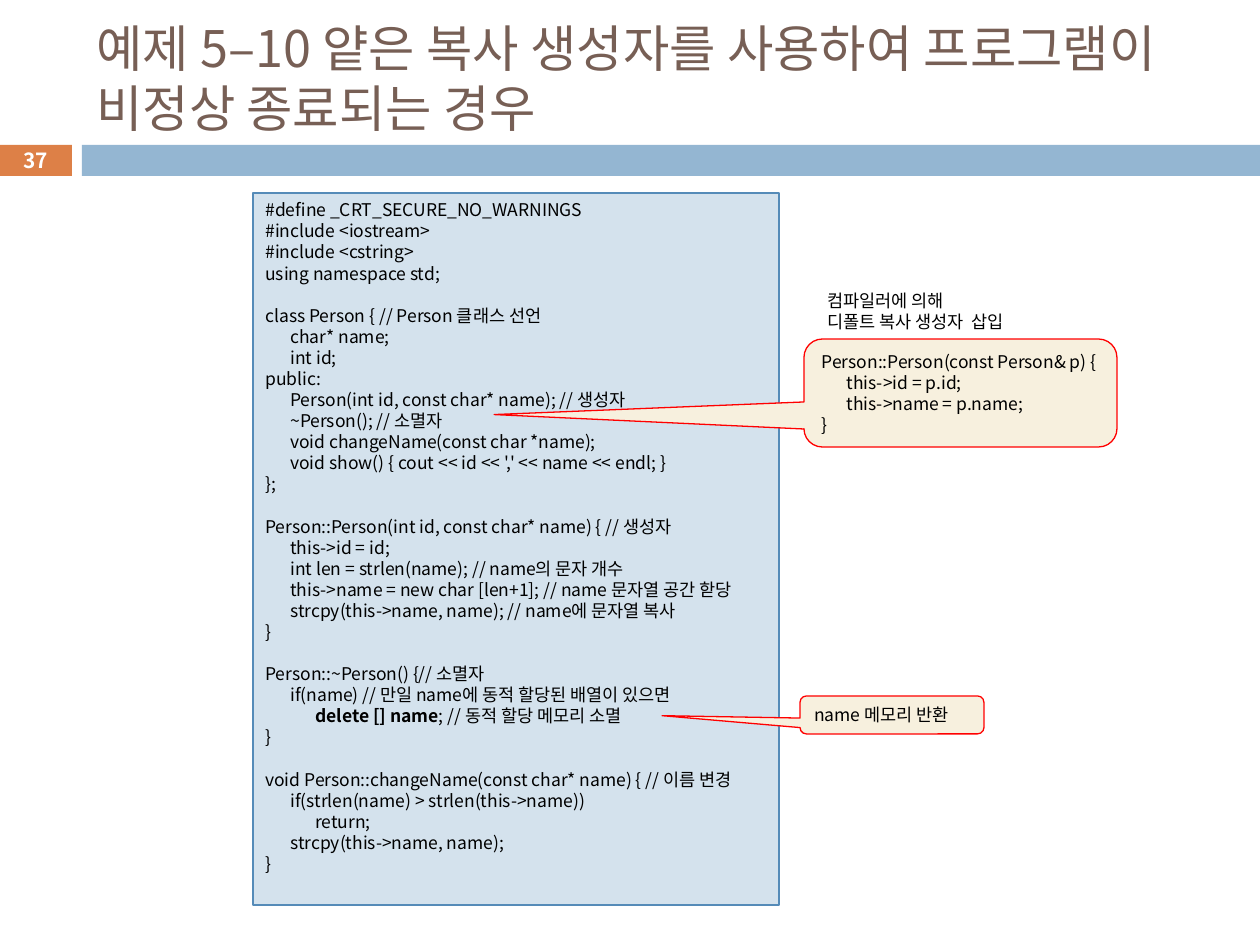
"""Build the slide on a shallow copy constructor that crashes a program."""
from lxml.etree import SubElement
from pptx import Presentation
from pptx.dml.color import RGBColor
from pptx.enum.shapes import MSO_SHAPE
from pptx.enum.text import MSO_ANCHOR, PP_ALIGN
from pptx.oxml.ns import qn
from pptx.util import Emu, Pt

TITLE = "예제 5–10 얕은 복사 생성자를 사용하여 프로그램이 비정상 종료되는 경우"
PAGE_NUMBER = "37"
EMPHASIS = "delete [] name"
CODE = [
    ["#define _CRT_SECURE_NO_WARNINGS",
     "#include <iostream>",
     "#include <cstring>",
     "using namespace std;"],
    ["class Person { // Person 클래스 선언",
     "\tchar* name;",
     "\tint id;",
     "public:",
     "\tPerson(int id, const char* name); // 생성자",
     "\t~Person(); // 소멸자",
     "\tvoid changeName(const char *name);",
     "\tvoid show() { cout << id << ',' << name << endl; }",
     "};"],
    ["Person::Person(int id, const char* name) { // 생성자",
     "\tthis->id = id;",
     "\tint len = strlen(name); // name의 문자 개수",
     "\tthis->name = new char [len+1]; // name 문자열 공간 핟당",
     "\tstrcpy(this->name, name); // name에 문자열 복사",
     "}"],
    ["Person::~Person() {// 소멸자",
     "\tif(name) // 만일 name에 동적 할당된 배열이 있으면",
     "\t\tdelete [] name; // 동적 할당 메모리 소멸",
     "}"],
    ["void Person::changeName(const char* name) { // 이름 변경",
     "\tif(strlen(name) > strlen(this->name))",
     "\t\treturn;",
     "\tstrcpy(this->name, name);",
     "}"],
]
INSERTED_COPY = [["Person::Person(const Person& p) {",
                  "\tthis->id = p.id;",
                  "\tthis->name = p.name;",
                  "}"]]
COMPILER_NOTE = [["컴파일러에 의해", "디폴트 복사 생성자  삽입"]]
MEMORY_NOTE = [["name 메모리 반환"]]

ORANGE = RGBColor(0xDD, 0x80, 0x47)
BLUE = RGBColor(0x94, 0xB6, 0xD2)
PALE_BLUE = RGBColor(0xD4, 0xE2, 0xED)
EDGE_BLUE = RGBColor(0x55, 0x8B, 0xB8)
CREAM = RGBColor(0xF7, 0xF0, 0xDE)
RED = RGBColor(0xFF, 0x00, 0x00)
BROWN = RGBColor(0x77, 0x5F, 0x55)
WHITE = RGBColor(0xFF, 0xFF, 0xFF)
BLACK = RGBColor(0x00, 0x00, 0x00)

FONT = "Noto Sans CJK KR"
PX = 914400 / 126
TAB_STOPS = (25, 50)
TITLE_STYLE = {"size": 28.8, "pitch": 34.2, "color": BROWN}
NUMBER_STYLE = {"size": 11.9, "pitch": 14.3, "color": WHITE, "bold": True, "align": PP_ALIGN.CENTER}
CODE_STYLE = {"size": 10, "pitch": 12.05, "color": BLACK}


def px(*lengths):
    return [Emu(round(length * PX)) for length in lengths]


def set_all(target, values):
    for name, value in values.items():
        setattr(target, name, value)


def add_run(paragraph, text, style, bold):
    run = paragraph.add_run()
    run.text = text
    set_all(run.font, {"name": FONT, "size": Pt(style["size"]), "bold": bold})
    run.font.color.rgb = style["color"]
    SubElement(run.font._element, qn("a:ea"), typeface=FONT)


def write(shape, blocks, style, anchor=MSO_ANCHOR.TOP):
    frame = shape.text_frame
    set_all(frame, {"word_wrap": True, "vertical_anchor": anchor})
    lines = [(block, row, line) for block, block_lines in enumerate(blocks)
             for row, line in enumerate(block_lines)]
    for index, (block, row, line) in enumerate(lines):
        paragraph = frame.add_paragraph() if index else frame.paragraphs[0]
        starts_block = block > 0 and row == 0
        set_all(paragraph, {
            "alignment": style.get("align", PP_ALIGN.LEFT),
            "line_spacing": Pt(style["pitch"]),
            "space_before": Pt(style["pitch"] if starts_block else 0),
        })
        if "\t" in line:
            tabs = SubElement(paragraph._p.get_or_add_pPr(), qn("a:tabLst"))
            for stop in px(*TAB_STOPS):
                SubElement(tabs, qn("a:tab"), pos=str(int(stop)), algn="l")
        before, strong, after = line.partition(EMPHASIS)
        for text, bold in ((before, style.get("bold", False)), (strong, True), (after, False)):
            if text:
                add_run(paragraph, text, style, bold)


def add_panel(slide, kind, place, fill, edge=None, adjustments=()):
    panel = slide.shapes.add_shape(kind, *px(*place))
    panel.shadow.inherit = False
    panel.fill.solid()
    panel.fill.fore_color.rgb = fill
    if edge is None:
        panel.line.fill.background()
    else:
        panel.line.color.rgb = edge
        panel.line.width = Pt(0.75)
    for index, value in enumerate(adjustments):
        panel.adjustments[index] = value
    return panel


def main():
    deck = Presentation()
    deck.slide_width, deck.slide_height = px(1260, 945)
    slide = deck.slides.add_slide(deck.slide_layouts[6])

    add_panel(slide, MSO_SHAPE.RECTANGLE, (-1, 145, 73, 31), ORANGE)
    add_panel(slide, MSO_SHAPE.RECTANGLE, (82, 145, 1178, 31), BLUE)
    code_panel = add_panel(slide, MSO_SHAPE.RECTANGLE, (253, 193, 526, 712), PALE_BLUE, EDGE_BLUE)
    write(code_panel, CODE, CODE_STYLE)

    text_boxes = [
        ((84, 31, 1124, 94), [[TITLE]], TITLE_STYLE, MSO_ANCHOR.MIDDLE),
        ((-1, 143, 73, 34), [[PAGE_NUMBER]], NUMBER_STYLE, MSO_ANCHOR.MIDDLE),
        ((815, 284, 243, 55), COMPILER_NOTE, CODE_STYLE, MSO_ANCHOR.TOP),
    ]
    for place, blocks, style, anchor in text_boxes:
        write(slide.shapes.add_textbox(*px(*place)), blocks, style, anchor)

    callouts = [
        ((804, 339, 313, 108), INSERTED_COPY, (-1.49, 0.2, 0.17)),
        ((800, 696, 184, 38), MEMORY_NOTE, (-1.25, 0.02, 0.17)),
    ]
    for place, blocks, tail in callouts:
        callout = add_panel(slide, MSO_SHAPE.ROUNDED_RECTANGULAR_CALLOUT, place, CREAM, RED, tail)
        write(callout, blocks, CODE_STYLE, MSO_ANCHOR.MIDDLE)

    deck.save("out.pptx")


if __name__ == "__main__":
    main()
